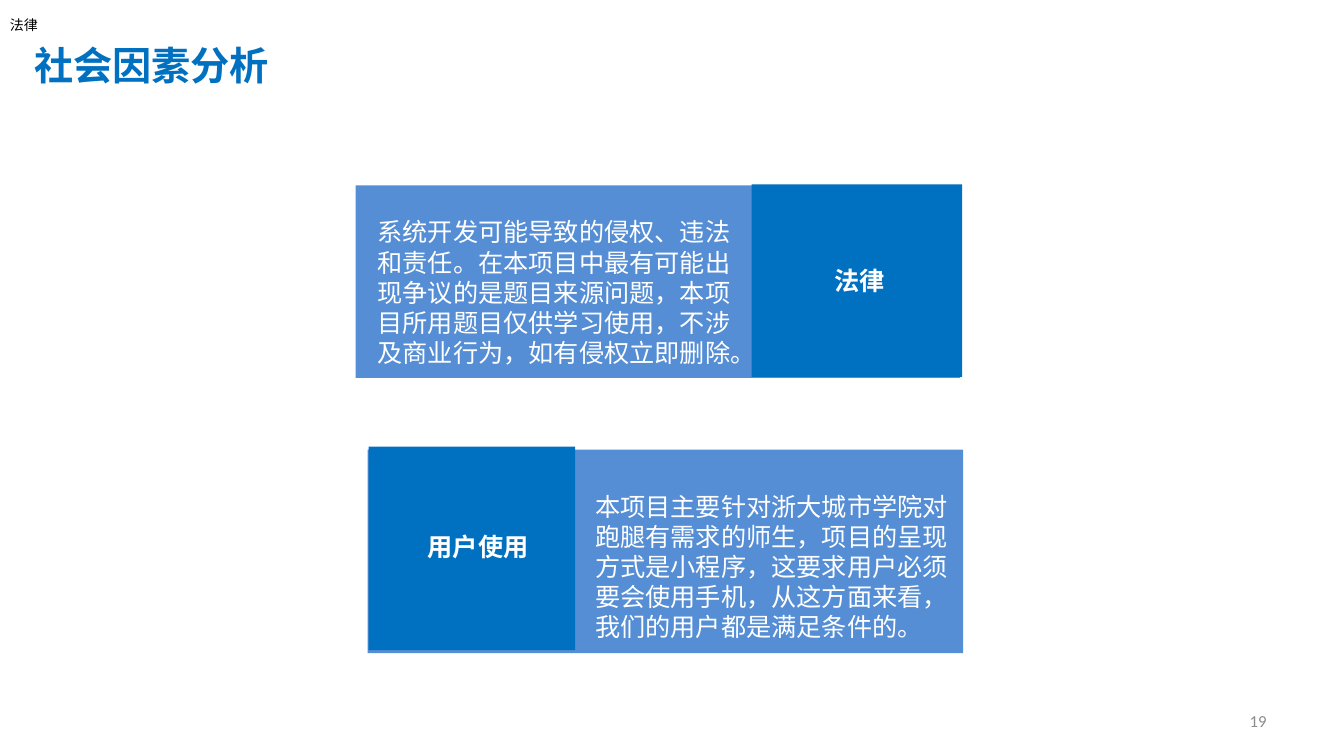
from dataclasses import dataclass

from lxml.etree import SubElement
from pptx import Presentation
from pptx.dml.color import RGBColor
from pptx.enum.shapes import MSO_SHAPE
from pptx.enum.text import MSO_ANCHOR, PP_ALIGN
from pptx.oxml.ns import qn
from pptx.slide import Slide
from pptx.util import Inches, Pt

DARK_BLUE = RGBColor(0x00, 0x70, 0xC0)
LIGHT_BLUE = RGBColor(0x55, 0x8E, 0xD5)
WHITE = RGBColor(0xFF, 0xFF, 0xFF)
BLACK = RGBColor(0x00, 0x00, 0x00)
GRAY = RGBColor(0x8C, 0x8C, 0x8C)
CHINESE_FONT = "Noto Sans CJK SC"


@dataclass(frozen=True)
class Area:
    left: float
    top: float
    width: float
    height: float

    def lengths(self) -> tuple[Inches, Inches, Inches, Inches]:
        return Inches(self.left), Inches(self.top), Inches(self.width), Inches(self.height)


@dataclass(frozen=True)
class Label:
    area: Area
    text: str
    size: float = 18
    color: RGBColor = WHITE
    bold: bool = False
    wrap: bool = True
    font: str = CHINESE_FONT
    align: PP_ALIGN = PP_ALIGN.LEFT
    anchor: MSO_ANCHOR = MSO_ANCHOR.TOP


@dataclass(frozen=True)
class Factor:
    panel: Area
    description: Label
    tile: Area
    heading: Label


def heading(area: Area, text: str) -> Label:
    return Label(area, text, bold=True, wrap=False, align=PP_ALIGN.CENTER)


FACTORS = [
    Factor(
        Area(3.53, 1.84, 6, 1.91),
        Label(
            Area(3.65, 2.1, 3.7, 1.62),
            "系统开发可能导致的侵权、违法和责任。在本项目中最有可能出现争议的是题目来源问题，"
            "本项目所用题目仅供学习使用，不涉及商业行为，如有侵权立即删除。",
        ),
        Area(7.46, 1.83, 2.09, 1.91),
        heading(Area(8.18, 2.58, 0.71, 0.4), "法律"),
    ),
    Factor(
        Area(3.65, 4.46, 5.91, 2.02),
        Label(
            Area(5.81, 4.82, 3.75, 1.62),
            "本项目主要针对浙大城市学院对跑腿有需求的师生，项目的呈现方式是小程序，"
            "这要求用户必须要会使用手机，从这方面来看，我们的用户都是满足条件的。",
        ),
        Area(3.66, 4.43, 2.05, 2.02),
        heading(Area(4.14, 5.22, 1.21, 0.4), "用户使用"),
    ),
]

PAGE_LABELS = [
    Label(Area(0.24, 0.36, 3.7, 0.57), "社会因素分析", 28, DARK_BLUE, bold=True),
    Label(Area(0, 0, 13.34, 0.5), "法律", 10, BLACK, wrap=False, anchor=MSO_ANCHOR.MIDDLE),
    Label(Area(9.56, 6.95, 3.11, 0.4), "19", 12, GRAY, font="Calibri",
          align=PP_ALIGN.RIGHT, anchor=MSO_ANCHOR.MIDDLE),
]


def add_rectangle(page: Slide, area: Area, color: RGBColor) -> None:
    rectangle = page.shapes.add_shape(MSO_SHAPE.RECTANGLE, *area.lengths())
    rectangle.shadow.inherit = False
    rectangle.fill.solid()
    rectangle.fill.fore_color.rgb = color
    rectangle.line.fill.background()


def add_label(page: Slide, label: Label) -> None:
    box = page.shapes.add_textbox(*label.area.lengths())
    frame = box.text_frame
    frame.word_wrap = label.wrap
    frame.vertical_anchor = label.anchor
    para = frame.paragraphs[0]
    para.text = label.text
    para.alignment = label.align
    para.font.name = label.font
    para.font.size = Pt(label.size)
    para.font.bold = label.bold
    para.font.color.rgb = label.color
    defaults = para._p.pPr.find(qn("a:defRPr"))
    SubElement(defaults, qn("a:ea")).set("typeface", label.font)


def add_factor(page: Slide, factor: Factor) -> None:
    add_rectangle(page, factor.panel, LIGHT_BLUE)
    add_label(page, factor.description)
    add_rectangle(page, factor.tile, DARK_BLUE)
    add_label(page, factor.heading)


def main() -> None:
    deck = Presentation()
    deck.slide_width = Inches(13.34)
    deck.slide_height = Inches(7.5)
    page = deck.slides.add_slide(deck.slide_layouts[6])
    for factor in FACTORS:
        add_factor(page, factor)
    for label in PAGE_LABELS:
        add_label(page, label)
    deck.save("out.pptx")


if __name__ == "__main__":
    main()
